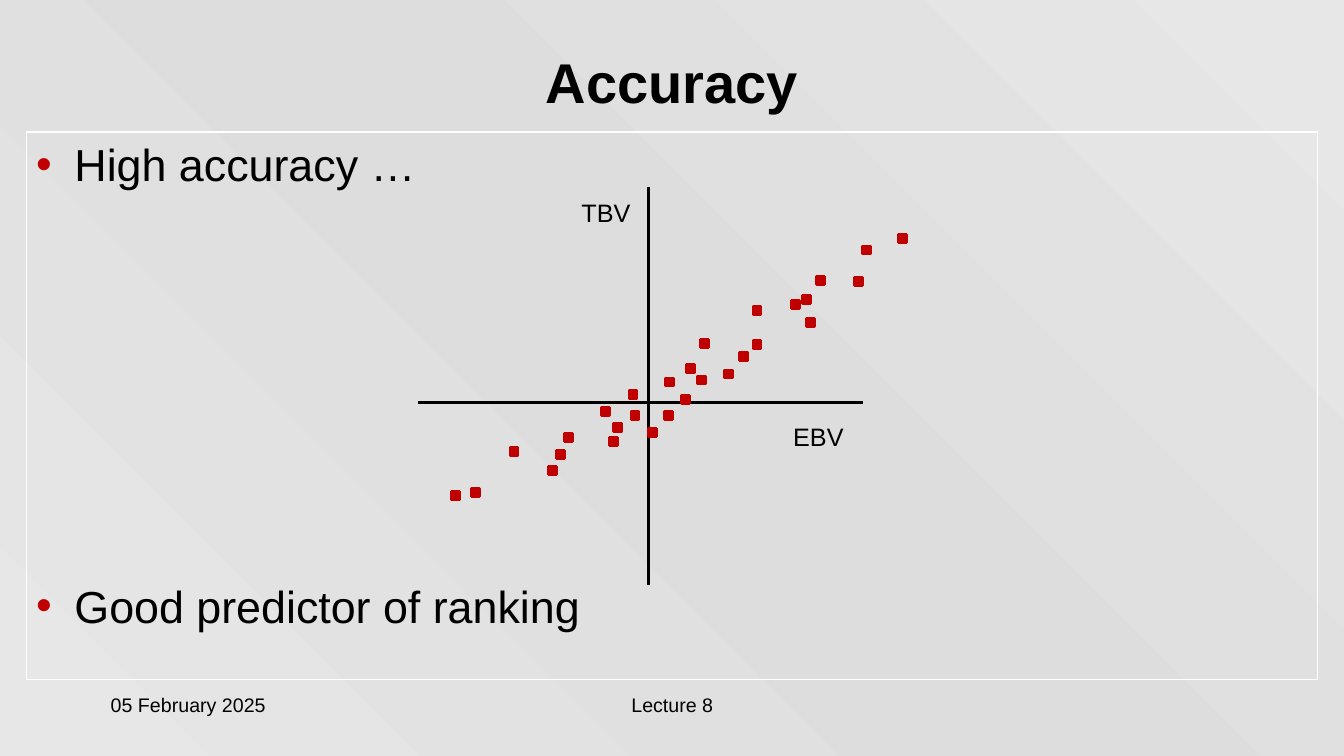
from copy import deepcopy
from dataclasses import dataclass

from lxml import etree
from pptx import Presentation
from pptx.dml.color import RGBColor
from pptx.enum.shapes import MSO_CONNECTOR, MSO_SHAPE
from pptx.enum.text import MSO_ANCHOR, PP_ALIGN
from pptx.oxml.ns import qn
from pptx.util import Emu, Inches, Pt

LEFT, CENTER = PP_ALIGN.LEFT, PP_ALIGN.CENTER
TOP, MIDDLE = MSO_ANCHOR.TOP, MSO_ANCHOR.MIDDLE
STRAIGHT = MSO_CONNECTOR.STRAIGHT
RECTANGLE = MSO_SHAPE.RECTANGLE

CELL = Inches(0.1)  # side of one square grid cell
SLIDE_COLUMNS, SLIDE_ROWS = 133.33, 75
FONT = "Arial"
BLACK, WHITE, RED = "000000", "FFFFFF", "C00000"
BACKGROUND_STOPS = [(0, "E7E7E7"), (0.5, "DDDDDD"), (1, "E7E7E7")]

ORIGIN_COLUMN, ORIGIN_ROW = 64.3, 39.9  # where the two axes cross
MARKER_SIDE = 0.8
BULLET_INDENT = 3.8
BULLET_GAP = Pt(277)  # leaves room for the plot between the bullets

# (EBV, TBV) in grid cells from the crossing of the axes
ANIMALS = [
    (-19.1, -9.3), (-17.1, -9.0), (-13.3, -4.9), (-9.5, -6.8), (-8.7, -5.2),
    (-7.9, -3.5), (-4.2, -0.9), (-3.4, -3.9), (-3.0, -2.5), (-1.5, 0.8),
    (-1.3, -1.3), (0.4, -3.0), (2.0, -1.3), (2.1, 2.0), (3.7, 0.3),
    (4.2, 3.3), (5.3, 2.2), (5.6, 5.8), (8.0, 2.8), (9.5, 4.5),
    (10.8, 5.7), (10.8, 9.1), (14.6, 9.7), (15.7, 10.2), (16.1, 7.9),
    (17.1, 12.1), (20.9, 12.0), (21.7, 15.1), (25.2, 16.2),
]


@dataclass
class Box:
    column: float
    row: float
    columns: float
    rows: float

    def place(self) -> tuple:
        return tuple(map(cells, (self.column, self.row, self.columns, self.rows)))


@dataclass
class Label:
    text: str
    box: Box
    size: int
    alignment: PP_ALIGN = LEFT
    anchor: MSO_ANCHOR = TOP
    bold: bool = False


@dataclass
class Axis:
    start: tuple
    end: tuple


LABELS = [
    Label("Accuracy", Box(2.6, 3, 128.1, 10.1), 40, CENTER, MIDDLE, True),
    Label("05 February 2025", Box(10, 68.3, 27.8, 5), 14),
    Label("Lecture 8", Box(45.6, 68.3, 42.2, 5), 14, CENTER),
    Label("TBV", Box(56.7, 19.1, 6.9, 4), 18),
    Label("EBV", Box(77.7, 41.3, 7.8, 4), 18),
]
AXES = [
    Axis((ORIGIN_COLUMN, 18.6), (ORIGIN_COLUMN, 58)),
    Axis((41.5, ORIGIN_ROW), (85.6, ORIGIN_ROW)),
]
BODY_BOX = Box(2.6, 13.1, 128.1, 54.3)
BULLETS = ["High accuracy …", "Good predictor of ranking"]


def cells(count: float) -> Emu:
    return Emu(round(count * CELL))


def color(hex_code: str) -> RGBColor:
    return RGBColor.from_string(hex_code)


def format_runs(paragraph, size: int, bold: bool = False) -> None:
    for run in paragraph.runs:
        run.font.name = FONT
        run.font.size = Pt(size)
        run.font.bold = bold
        run.font.color.rgb = color(BLACK)


def paint_background(slide) -> None:
    fill = slide.background.fill
    fill.gradient()
    fill.gradient_angle = 45
    stop_list = slide.element.find(".//" + qn("a:gsLst"))
    stop_list.append(deepcopy(stop_list[-1]))
    for stop, (position, hex_code) in zip(fill.gradient_stops, BACKGROUND_STOPS):
        stop.position = position
        stop.color.rgb = color(hex_code)


def add_label(slide, label: Label) -> None:
    text_frame = slide.shapes.add_textbox(*label.box.place()).text_frame
    text_frame.word_wrap = True
    text_frame.vertical_anchor = label.anchor
    text_frame.text = label.text
    paragraph = text_frame.paragraphs[0]
    paragraph.alignment = label.alignment
    format_runs(paragraph, label.size, label.bold)


def add_bullet_mark(paragraph) -> None:
    properties = paragraph._p.get_or_add_pPr()
    properties.set("marL", str(cells(BULLET_INDENT)))
    properties.set("indent", str(-cells(BULLET_INDENT)))
    bullet_color = etree.SubElement(properties, qn("a:buClr"))
    etree.SubElement(bullet_color, qn("a:srgbClr"), val=RED)
    etree.SubElement(properties, qn("a:buFont"), typeface=FONT)
    etree.SubElement(properties, qn("a:buChar"), char="•")


def add_body(slide) -> None:
    shape = slide.shapes.add_shape(RECTANGLE, *BODY_BOX.place())
    shape.shadow.inherit = False
    shape.fill.background()
    shape.line.color.rgb = color(WHITE)
    shape.line.width = Pt(0.75)
    text_frame = shape.text_frame
    text_frame.word_wrap = True
    text_frame.vertical_anchor = TOP
    text_frame.text = "\n".join(BULLETS)
    for paragraph in text_frame.paragraphs:
        add_bullet_mark(paragraph)
        paragraph.alignment = LEFT
        format_runs(paragraph, 32)
    text_frame.paragraphs[1].space_before = BULLET_GAP


def add_axis(slide, axis: Axis) -> None:
    ends = map(cells, (*axis.start, *axis.end))
    connector = slide.shapes.add_connector(STRAIGHT, *ends)
    connector.line.color.rgb = color(BLACK)
    connector.line.width = Pt(2.25)
    etree.SubElement(connector._element.spPr, qn("a:effectLst"))


def add_marker(slide, ebv: float, tbv: float) -> None:
    box = Box(ORIGIN_COLUMN + ebv - MARKER_SIDE / 2,
              ORIGIN_ROW - tbv - MARKER_SIDE / 2, MARKER_SIDE, MARKER_SIDE)
    marker = slide.shapes.add_shape(RECTANGLE, *box.place())
    marker.shadow.inherit = False
    marker.fill.solid()
    marker.fill.fore_color.rgb = color(RED)
    marker.line.color.rgb = color(RED)
    marker.line.width = Pt(2)


def main() -> None:
    presentation = Presentation()
    presentation.slide_width = cells(SLIDE_COLUMNS)
    presentation.slide_height = cells(SLIDE_ROWS)
    slide = presentation.slides.add_slide(presentation.slide_layouts[6])
    paint_background(slide)
    add_body(slide)
    for axis in AXES:
        add_axis(slide, axis)
    for ebv, tbv in ANIMALS:
        add_marker(slide, ebv, tbv)
    for label in LABELS:
        add_label(slide, label)
    presentation.save("out.pptx")


if __name__ == "__main__":
    main()
